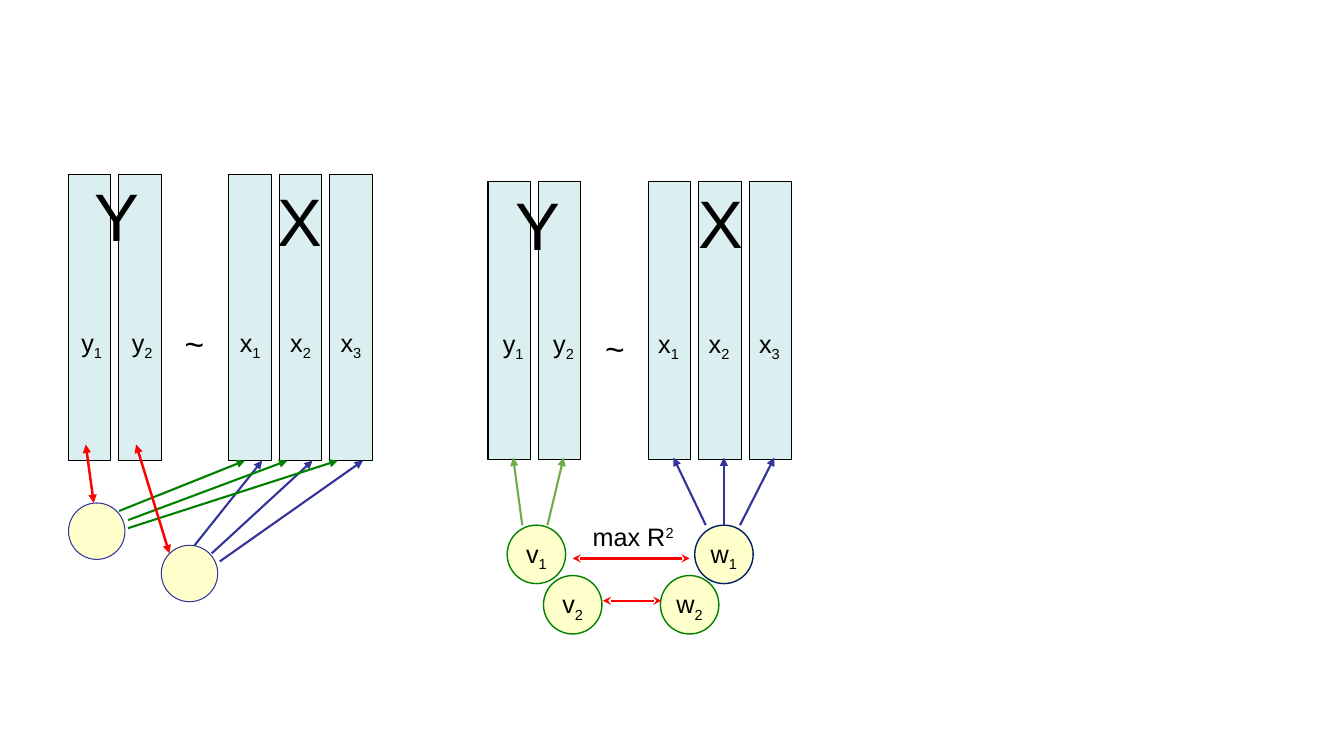
import dataclasses

import lxml.etree
import pptx
import pptx.dml.color
import pptx.enum.shapes
import pptx.enum.text
import pptx.oxml.ns
import pptx.util

SHAPES = pptx.enum.shapes.MSO_SHAPE
ALIGN = pptx.enum.text.PP_ALIGN
qn = pptx.oxml.ns.qn


@dataclasses.dataclass(frozen=True)
class Theme:
    font: str = "Arial"
    ink: str = "000000"
    bar: str = "BBE0E3"
    disc: str = "FFFF99"
    blue: str = "333399"
    navy: str = "002060"
    green: str = "008000"
    light_green: str = "70AD47"
    red: str = "FF0000"
    title: int = 48
    tilde: int = 24
    label: int = 18
    thin: float = 0.75
    outline: float = 1
    arrow: float = 1.5
    link: float = 1.75
    opacity: int = 50000


THEME = Theme()
COLUMN = 0.5            # pitch of the bars
BAR = 0.42              # width of a bar
X_START = 1.59          # where the x bars begin inside a panel
SUBSCRIPT, SUPERSCRIPT = -25000, 30000


@dataclasses.dataclass(frozen=True)
class Box:
    """Bars of one panel; drawing below them is placed from their foot."""
    left: float
    top: float
    height: float

    def from_foot(self, point):
        return self.left + point[0], self.top + self.height + point[1]


def rgb(value):
    return pptx.dml.color.RGBColor.from_string(value)


def inches(*lengths):
    return [pptx.util.Inches(length) for length in lengths]


def apply(target, values):
    for name, value in values.items():
        setattr(target, name, value)


def add_outlined(page, kind, area, fill, line, width):
    """Half-transparent preset shape with a coloured outline."""
    shape = page.shapes.add_shape(kind, *inches(*area))
    shape.shadow.inherit = False
    shape.fill.solid()
    shape.fill.fore_color.rgb = rgb(fill)
    color = shape.fill._xPr.find(qn("a:solidFill"))[0]
    lxml.etree.SubElement(color, qn("a:alpha"), val=str(THEME.opacity))
    shape.line.color.rgb = rgb(line)
    shape.line.width = pptx.util.Pt(width)


def add_text(page, area, text, size, index="", baseline=SUBSCRIPT,
             align=ALIGN.CENTER, wrap=False):
    """Text with an optional lowered or raised index."""
    frame = page.shapes.add_textbox(*inches(*area)).text_frame
    apply(frame, {"word_wrap": wrap,
                  "auto_size": pptx.enum.text.MSO_AUTO_SIZE.SHAPE_TO_FIT_TEXT})
    para = frame.paragraphs[0]
    para.alignment = align
    for words, shift in ((text, 0), (index, baseline)):
        if not words:
            continue
        span = para.add_run()
        span.text = words
        apply(span.font, {"name": THEME.font, "size": pptx.util.Pt(size)})
        span.font.color.rgb = rgb(THEME.ink)
        if shift:
            span._r.get_or_add_rPr().set("baseline", str(shift))


def add_arrow(page, box, start, end, color, width=THEME.arrow,
              head=None, tail="triangle"):
    """Arrow between two points measured from the foot of the bars."""
    arrow = page.shapes.add_connector(
        pptx.enum.shapes.MSO_CONNECTOR.STRAIGHT,
        *inches(*box.from_foot(start), *box.from_foot(end)))
    arrow.line.color.rgb = rgb(color)
    arrow.line.width = pptx.util.Pt(width)
    line = arrow.line._get_or_add_ln()
    for tag, kind in (("a:headEnd", head), ("a:tailEnd", tail)):
        if kind:
            lxml.etree.SubElement(line, qn(tag), type=kind)
    lxml.etree.SubElement(arrow._element.spPr, qn("a:effectLst"))


def add_bars(page, box, label_top, shifts):
    """Y bars and X bars with their column labels."""
    for name, count, start, align in (("y", 2, 0, ALIGN.CENTER),
                                      ("x", 3, X_START, ALIGN.LEFT)):
        for column in range(count):
            left = box.left + start + column * COLUMN
            add_outlined(page, SHAPES.RECTANGLE, (left, box.top, BAR, box.height),
                         THEME.bar, THEME.ink, THEME.thin)
            add_text(page, (left + shifts[name], label_top, BAR, 0.4), name,
                     THEME.label, str(column + 1), align=align)


def add_headings(page, box, places):
    """Matrix names and the tilde, placed from the top left of the bars."""
    for text, (across, down) in places.items():
        size, width, height = ((THEME.tilde, 0.4, 0.5) if text == "~"
                               else (THEME.title, 0.65, 0.9))
        add_text(page, (box.left + across, box.top + down, width, height),
                 text, size)


def add_disc(page, box, corner, diameter, line, width, name="", index=""):
    left, top = box.from_foot(corner)
    add_outlined(page, SHAPES.OVAL, (left, top, diameter, diameter),
                 THEME.disc, line, width)
    if name:
        add_text(page, (left - 0.045, top + 0.08, 0.67, 0.4), name,
                 THEME.label, index, wrap=True)


def add_component_panel(page, box):
    """Left: components tied to y and pointing to every x."""
    add_bars(page, box, 3.2, {"y": 0.02, "x": 0.01})
    for corner in ((0, 0.42), (0.92, 0.84)):
        add_disc(page, box, corner, 0.56, THEME.blue, THEME.thin)

    # Arrows to the x bars
    for column, start in enumerate(((1.25, 0.84), (1.42, 0.92), (1.5, 1))):
        add_arrow(page, box, start, (1.92 + column * COLUMN, 0), THEME.blue)
    for start, end in (((0.5, 0.5), 1.75), ((0.59, 0.59), 2.17),
                       ((0.59, 0.67), 2.67)):
        add_arrow(page, box, start, (end, 0), THEME.green)

    # Two-way links to the y bars
    for start, end in (((0.17, -0.16), (0.25, 0.42)),
                       ((0.67, -0.16), (1, 0.92))):
        add_arrow(page, box, start, end, THEME.red, THEME.link, head="triangle")
    add_headings(page, box, {"X": (1.97, 0), "Y": (0.15, -0.05),
                             "~": (1.05, 1.42)})


def add_correlation_panel(page, box):
    """Right: pairs of variates with the highest correlation."""
    add_bars(page, box, 3.21, {"y": 0.04, "x": 0})
    for name, index, corner, line in (
            ("v", "1", (0.19, 0.65), THEME.green),
            ("w", "1", (2.05, 0.65), THEME.navy),
            ("v", "2", (0.55, 1.15), THEME.green),
            ("w", "2", (1.71, 1.15), THEME.green)):
        add_disc(page, box, corner, 0.58, line, THEME.outline, name, index)

    # Arrows from the first pair to the bars
    for color, first, starts in ((THEME.blue, 1.84, (2.16, 2.34, 2.5)),
                                 (THEME.light_green, 0.25, (0.34, 0.59))):
        for column, start in enumerate(starts):
            add_arrow(page, box, (start, 0.65),
                      (first + column * COLUMN, -0.02), color)

    # Links between the pairs
    for right, left, down in ((2, 0.84, 0.98), (1.72, 1.14, 1.4)):
        add_arrow(page, box, (right, down), (left, down), THEME.red,
                  THEME.link, head="stealth", tail="stealth")
    add_text(page, (*box.from_foot((0.92, 0.56)), 1.08, 0.4), "max R",
             THEME.label, "2 ", SUPERSCRIPT, wrap=True)
    add_headings(page, box, {"X": (1.98, -0.05), "Y": (0.17, -0.03),
                             "~": (1.06, 1.4)})


def main():
    deck = pptx.Presentation()
    deck.slide_width, deck.slide_height = inches(13.33, 7.5)
    page = deck.slides.add_slide(deck.slide_layouts[6])
    add_correlation_panel(page, Box(4.84, 1.8, 2.76))
    add_component_panel(page, Box(0.68, 1.73, 2.84))
    deck.save("out.pptx")


if __name__ == "__main__":
    main()
